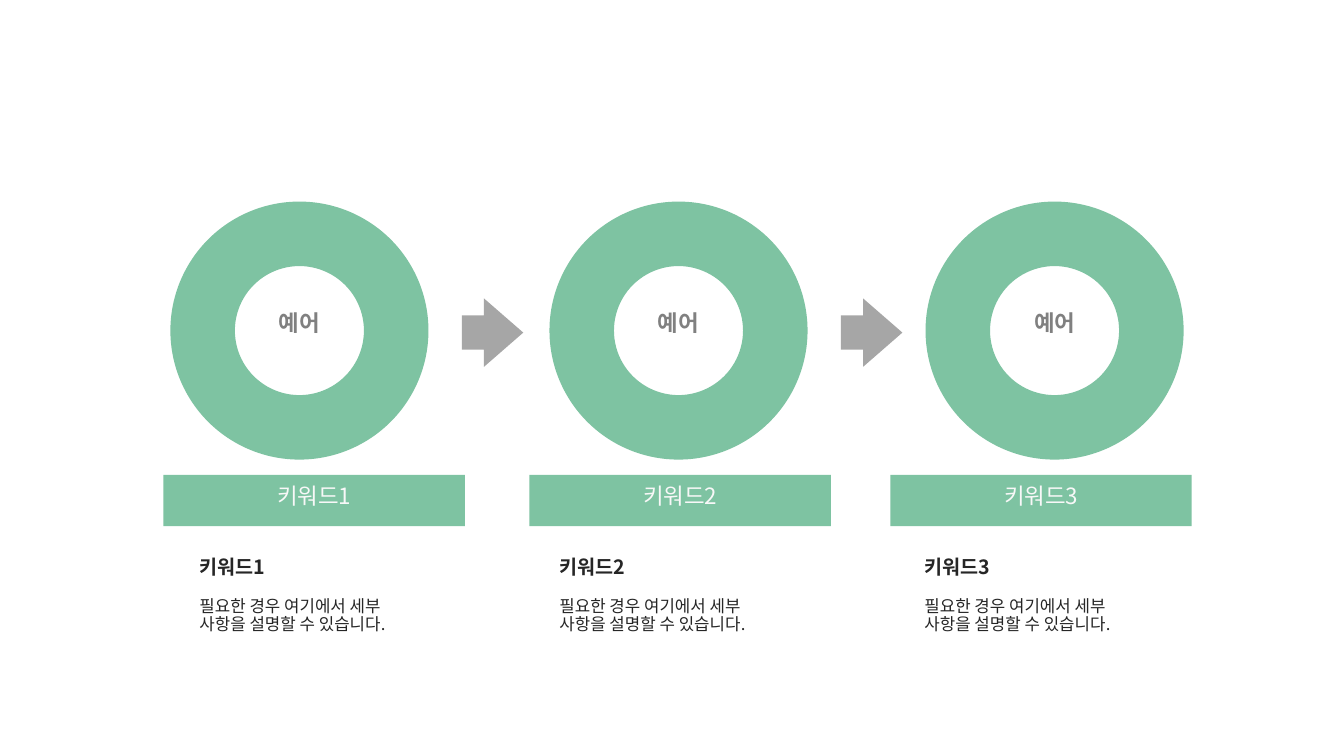
"""Build a three-step process slide with rings, arrows, banners and captions."""
import pptx
import pptx.dml.color
import pptx.enum.shapes
import pptx.enum.text
import pptx.oxml.ns
import pptx.util
from lxml import etree

WIDTH, HEIGHT = 13.33, 7.5
FONT = "Noto Sans CJK KR"
COLOURS = {"green": "7EC3A2", "arrow": "A6A6A6", "ring_text": "808080",
           "banner_text": "F8F8F8", "dark": "262626"}
RING_TEXT = "예어"
DETAIL = "필요한 경우 여기에서 세부 사항을 설명할 수 있습니다."
STAGES = [
    {"keyword": "키워드1", "ring": 1.69, "banner": 1.62, "caption": 1.88},
    {"keyword": "키워드2", "ring": 5.45, "banner": 5.25, "caption": 5.45},
    {"keyword": "키워드3", "ring": 9.18, "banner": 8.83, "caption": 9.07},
]
ARROW_LEFTS = [4.58, 8.34]
RING_TOP, RING_SIZE = 2, 2.56
RING_TEXT_SIZE = (1.1, 0.27)
NO_INSETS = (0, 0, 0, 0)
TEXT_INSETS = (0.1, 0.05, 0.1, 0.05)
BANNER_INSETS = (0.1, 0.05, 0.1, 0.11)
SHAPES = pptx.enum.shapes.MSO_SHAPE
ALIGN = pptx.enum.text.PP_ALIGN
ANCHOR = pptx.enum.text.MSO_ANCHOR


def colour(name):
    return pptx.dml.color.RGBColor.from_string(COLOURS[name])


def inches(*lengths):
    return [pptx.util.Inches(length) for length in lengths]


def add_block(page, kind, place, fill):
    block = page.shapes.add_shape(kind, *inches(*place))
    block.shadow.inherit = False
    block.fill.solid()
    block.fill.fore_color.rgb = colour(fill)
    block.line.fill.background()
    return block


def write(box, text, size, ink, bold=False, align=ALIGN.LEFT,
          anchor=ANCHOR.TOP, insets=TEXT_INSETS):
    frame = box.text_frame
    frame.word_wrap = True
    frame.vertical_anchor = anchor
    (frame.margin_left, frame.margin_top,
     frame.margin_right, frame.margin_bottom) = inches(*insets)
    para = frame.paragraphs[0]
    para.alignment = align
    para.line_spacing = 0.9
    span = para.add_run()
    span.text = text
    span.font.size = pptx.util.Pt(size)
    span.font.bold = bold
    span.font.color.rgb = colour(ink)
    span.font.name = FONT
    east_asian = etree.SubElement(span.font._element, pptx.oxml.ns.qn("a:ea"))
    east_asian.set("typeface", FONT)


def add_text(page, place, text, size, ink, **style):
    write(page.shapes.add_textbox(*inches(*place)), text, size, ink, **style)


def add_stage(page, stage):
    ring, caption = stage["ring"], stage["caption"]
    add_block(page, SHAPES.DONUT, (ring, RING_TOP, RING_SIZE, RING_SIZE), "green")
    text_width, text_height = RING_TEXT_SIZE
    text_left = ring + (RING_SIZE - text_width) / 2
    add_text(page, (text_left, 3.1, text_width, text_height), RING_TEXT, 16,
             "ring_text", bold=True, align=ALIGN.CENTER, insets=NO_INSETS)
    banner = add_block(page, SHAPES.RECTANGLE,
                       (stage["banner"], 4.71, 2.99, 0.51), "green")
    write(banner, stage["keyword"], 16, "banner_text", align=ALIGN.CENTER,
          anchor=ANCHOR.MIDDLE, insets=BANNER_INSETS)
    add_text(page, (caption, 5.48, 1.43, 0.33), stage["keyword"], 14, "dark",
             bold=True)
    add_text(page, (caption, 5.88, 2.31, 0.5), DETAIL, 12, "dark")


def main():
    deck = pptx.Presentation()
    deck.slide_width, deck.slide_height = inches(WIDTH, HEIGHT)
    page = deck.slides.add_slide(deck.slide_layouts[6])
    for stage in STAGES:
        add_stage(page, stage)
    for left in ARROW_LEFTS:
        arrow = add_block(page, SHAPES.RIGHT_ARROW, (left, 2.96, 0.61, 0.68), "arrow")
        arrow.adjustments[0] = 0.5
        arrow.adjustments[1] = 0.64
    deck.save("out.pptx")


if __name__ == "__main__":
    main()
